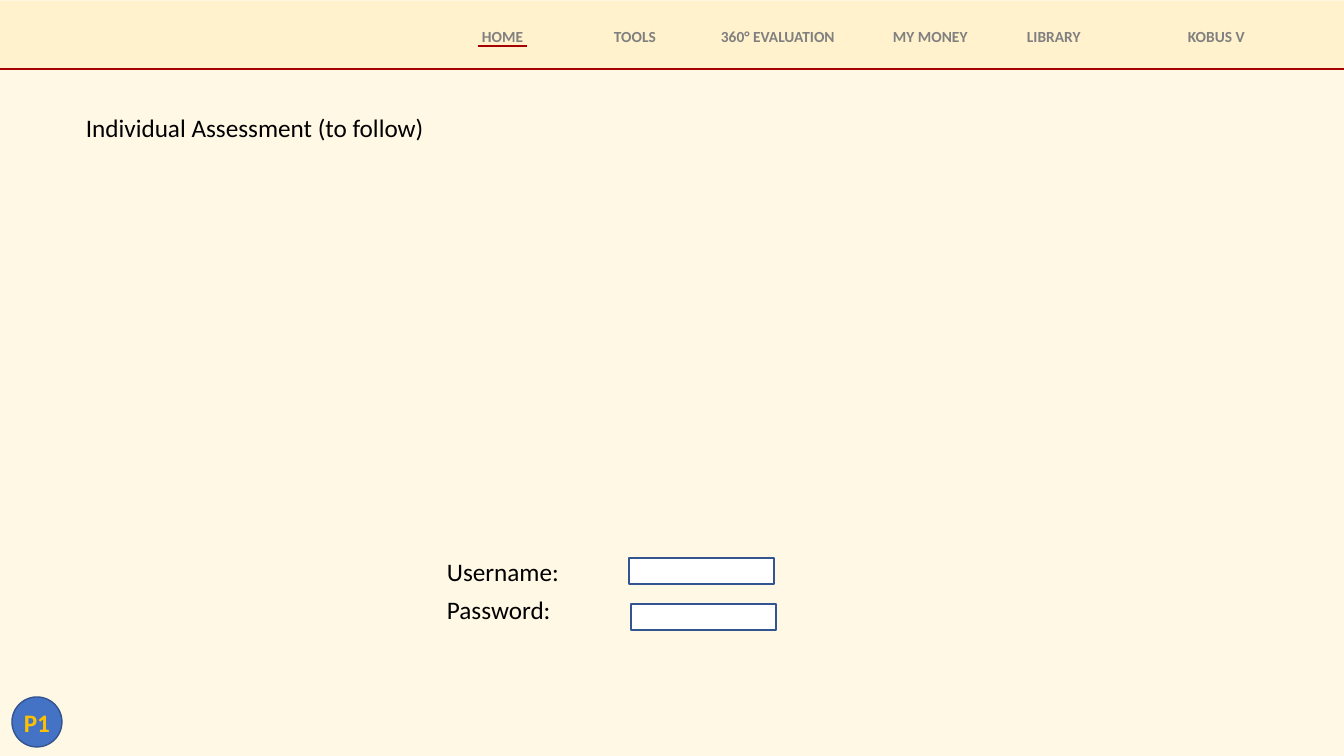
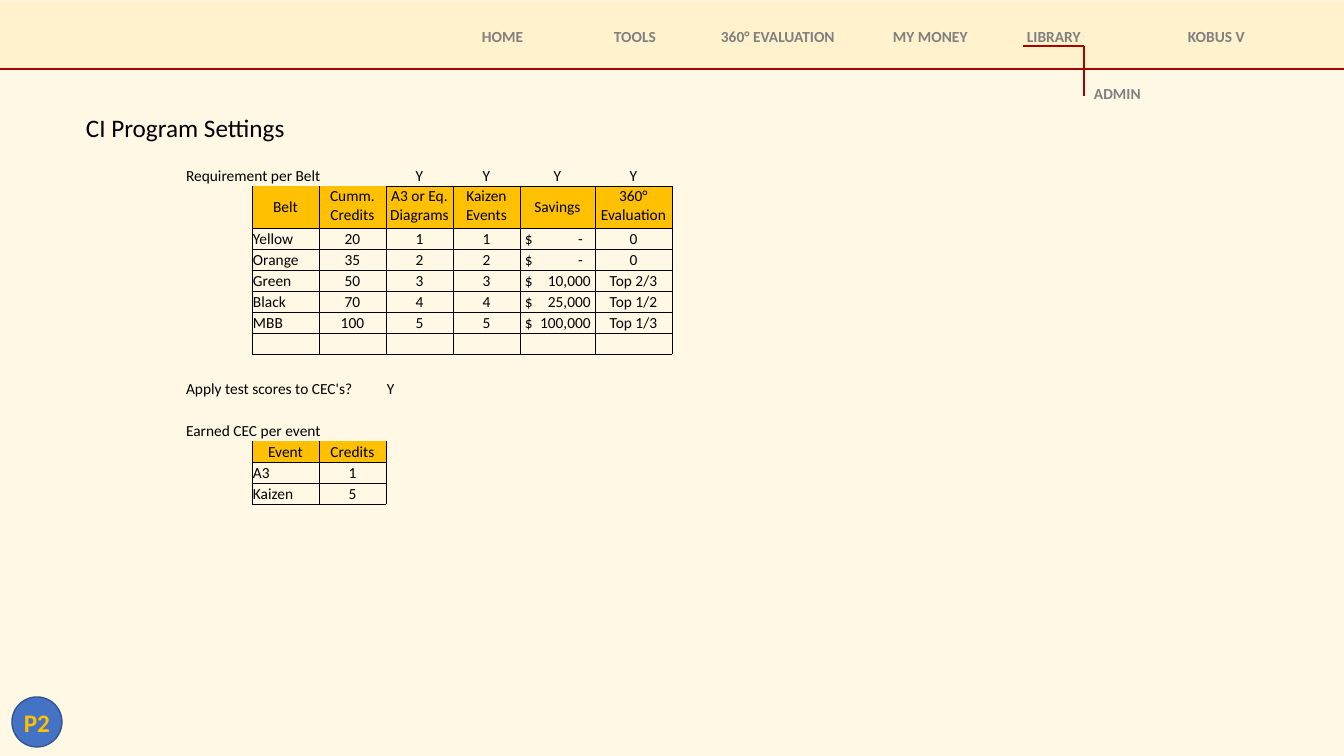
import lxml.etree
import pptx
import pptx.dml.color
import pptx.enum.shapes
import pptx.enum.text
import pptx.oxml.ns
import pptx.util

PX = 12192000 / 1344
FONT = "Calibri"
COLORS = {
    "page": "FFF8E5", "band": "FFF2CC", "rule": "A80000", "nav": "808080",
    "text": "000000", "field": "FFFFFF", "badge": "4472C4",
    "outline": "325491", "gold": "FFC000",
}
BODY = {"size": 18, "color": "text", "bold": False}
NAV = {"size": 11, "color": "nav", "bold": True}
CELL = {"size": 11, "color": "text", "bold": False}
BADGE = {"size": 18, "color": "gold", "bold": True}
NAV_ITEMS = [("HOME", 472), ("TOOLS", 604), ("360° EVALUATION", 711),
             ("MY MONEY", 883), ("LIBRARY", 1017), ("KOBUS V", 1178)]
NO_GRID = "{2D5ABB26-0587-4C30-8999-92F81FD0307C}"

ALIGN = pptx.enum.text.PP_ALIGN
ANCHOR = pptx.enum.text.MSO_ANCHOR
SHAPE = pptx.enum.shapes.MSO_SHAPE
qn = pptx.oxml.ns.qn


def px(n):
    return pptx.util.Emu(round(n * PX))


def rgb(name):
    return pptx.dml.color.RGBColor.from_string(COLORS[name])


def add_xml(parent, tag, **attrs):
    return lxml.etree.SubElement(parent, qn(tag), **attrs)


class Deck:
    def __init__(self):
        self.prs = pptx.Presentation()
        self.prs.slide_width, self.prs.slide_height = px(1344), px(756)
        self.s = None

    def page(self, title, badge):
        """Start a slide with the parts that all slides share."""
        self.s = self.prs.slides.add_slide(self.prs.slide_layouts[6])
        fill = self.s.background.fill
        fill.solid()
        fill.fore_color.rgb = rgb("page")
        # Navigation band
        self.shape(SHAPE.RECTANGLE, 0, 1, 1344, 68, "band")
        self.line(0, 69, 1344, 69)
        for label, x in NAV_ITEMS:
            self.text(label, x, 22, 146, 29, NAV)
        # Title and page badge
        self.text(title, 76, 107, 672, 40, BODY)
        sp = self.shape(SHAPE.OVAL, 12, 697, 50, 50, "badge", "outline")
        tf = sp.text_frame
        self.margins(tf, 0, 0, 0, 0)
        tf.word_wrap = False
        tf.vertical_anchor = ANCHOR.MIDDLE
        self.put_run(tf, badge, BADGE, ALIGN.CENTER)

    def margins(self, target, left, top, right, bottom):
        sides = {"left": left, "top": top, "right": right, "bottom": bottom}
        for side, n in sides.items():
            setattr(target, f"margin_{side}", px(n))

    def put_run(self, tf, text, style, align=ALIGN.LEFT):
        p = tf.paragraphs[0]
        p.alignment = align
        r = p.add_run()
        r.text = text
        values = {"name": FONT, "size": pptx.util.Pt(style["size"]),
                  "bold": style["bold"]}
        for key, value in values.items():
            setattr(r.font, key, value)
        r.font.color.rgb = rgb(style["color"])
        return p

    def text(self, text, x, y, w, h, style):
        tf = self.s.shapes.add_textbox(px(x), px(y), px(w), px(h)).text_frame
        tf.word_wrap = True
        tf.auto_size = pptx.enum.text.MSO_AUTO_SIZE.SHAPE_TO_FIT_TEXT
        self.put_run(tf, text, style)

    def shape(self, kind, x, y, w, h, fill, outline=None):
        sp = self.s.shapes.add_shape(kind, px(x), px(y), px(w), px(h))
        sp.shadow.inherit = False
        sp.fill.solid()
        sp.fill.fore_color.rgb = rgb(fill)
        if outline:
            sp.line.color.rgb = rgb(outline)
            sp.line.width = pptx.util.Pt(1)
        else:
            sp.line.fill.background()
        return sp

    def line(self, x1, y1, x2, y2):
        cn = self.s.shapes.add_connector(
            pptx.enum.shapes.MSO_CONNECTOR.STRAIGHT,
            px(x1), px(y1), px(x2), px(y2))
        cn.line.color.rgb = rgb("rule")
        cn.line.width = pptx.util.Pt(1.25)
        add_xml(cn._element.spPr, "a:effectLst")

    def border(self, cell, sides):
        tc_pr = cell._tc.get_or_add_tcPr()
        for side in sides:
            ln = add_xml(tc_pr, f"a:ln{side}", w=str(int(pptx.util.Pt(0.5))))
            add_xml(add_xml(ln, "a:solidFill"), "a:srgbClr", val=COLORS["text"])

    def amount(self, cell, text):
        """Currency sign at the left, figure on a right tab stop."""
        cell.margin_left = px(5)
        p = self.put_run(cell.text_frame, text, CELL)
        stop = px(58 if text.endswith("-") else 66)
        tabs = add_xml(p._p.get_or_add_pPr(), "a:tabLst")
        add_xml(tabs, "a:tab", pos=str(int(stop)), algn="r")

    def table(self, x, y, widths, heights, rows, header, last, left):
        """Grid from the header row to (row, column) last; left lists left-aligned columns."""
        frame = self.s.shapes.add_table(len(rows), len(widths), px(x), px(y),
                                        px(sum(widths)), px(sum(heights)))
        t = frame.table
        t.first_row = t.horz_banding = False
        t._tbl.tblPr.find(qn("a:tableStyleId")).text = NO_GRID
        for c, w in enumerate(widths):
            t.columns[c].width = px(w)
        for r, h in enumerate(heights):
            t.rows[r].height = px(h)
            for c, text in enumerate(rows[r]):
                cell = t.cell(r, c)
                self.margins(cell, 1, 1, 1, 0)
                cell.vertical_anchor = ANCHOR.BOTTOM
                if header <= r <= last[0] and 1 <= c <= last[1]:
                    # The label above the first columns leaves their top open
                    top = r > header or c > 2
                    self.border(cell, "LRTB" if top else "LRB")
                if r == header and text:
                    cell.fill.solid()
                    cell.fill.fore_color.rgb = rgb("gold")
                    cell.vertical_anchor = ANCHOR.TOP if " " in text else ANCHOR.MIDDLE
                else:
                    cell.fill.background()
                if not text:
                    add_xml(cell.text_frame.paragraphs[0]._p, "a:endParaRPr",
                            sz=str(CELL["size"] * 100))
                elif "\t" in text:
                    self.amount(cell, text)
                else:
                    flush = c in left and r != header
                    self.put_run(cell.text_frame, text, CELL,
                                 ALIGN.LEFT if flush else ALIGN.CENTER)
            # A label in the first column runs over three columns
            if rows[r][0]:
                t.cell(r, 0).merge(t.cell(r, 2))


def login_slide(deck):
    deck.page("Individual Assessment (to follow)", "P1")
    deck.line(478, 46, 527, 46)
    for label, label_y, x, y in [("Username:", 551, 629, 558),
                                 ("Password:", 589, 631, 604)]:
        deck.shape(SHAPE.RECTANGLE, x, y, 145, 26, "field", "outline")
        deck.text(label, 437, label_y, 145, 40, BODY)


def settings_slide(deck):
    deck.page("CI Program Settings", "P2")
    # Library submenu
    deck.line(1023, 46, 1084, 46)
    deck.line(1084, 96, 1084, 46)
    deck.text("ADMIN", 1084, 79, 106, 29, NAV)
    # Requirements per belt
    belts = [
        ["Requirement per Belt", "", "", "Y", "Y", "Y", "Y"],
        ["", "Belt", "Cumm. Credits", "A3 or Eq. Diagrams", "Kaizen Events",
         "Savings", "360° Evaluation"],
        ["", "Yellow", "20", "1", "1", "$\t-", "0"],
        ["", "Orange", "35", "2", "2", "$\t-", "0"],
        ["", "Green", "50", "3", "3", "$\t10,000", "Top 2/3"],
        ["", "Black", "70", "4", "4", "$\t25,000", "Top 1/2"],
        ["", "MBB", "100", "5", "5", "$\t100,000", "Top 1/3"],
        [""] * 7,
    ]
    deck.table(185, 165, [67] * 5 + [75, 77], [21, 42] + [21] * 6, belts,
               header=1, last=(7, 6), left=(0, 1))
    # Credits per event
    events = [
        ["Apply test scores to CEC's?", "", "", "Y"],
        [""] * 4,
        ["Earned CEC per event", "", "", ""],
        ["", "Event", "Credits", ""],
        ["", "A3", "1", ""],
        ["", "Kaizen", "5", ""],
        [""] * 4,
    ]
    deck.table(185, 378, [67] * 4, [21] * 7, events,
               header=3, last=(5, 2), left=(0, 1, 3))


def main():
    deck = Deck()
    login_slide(deck)
    settings_slide(deck)
    deck.prs.save("out.pptx")


if __name__ == "__main__":
    main()
